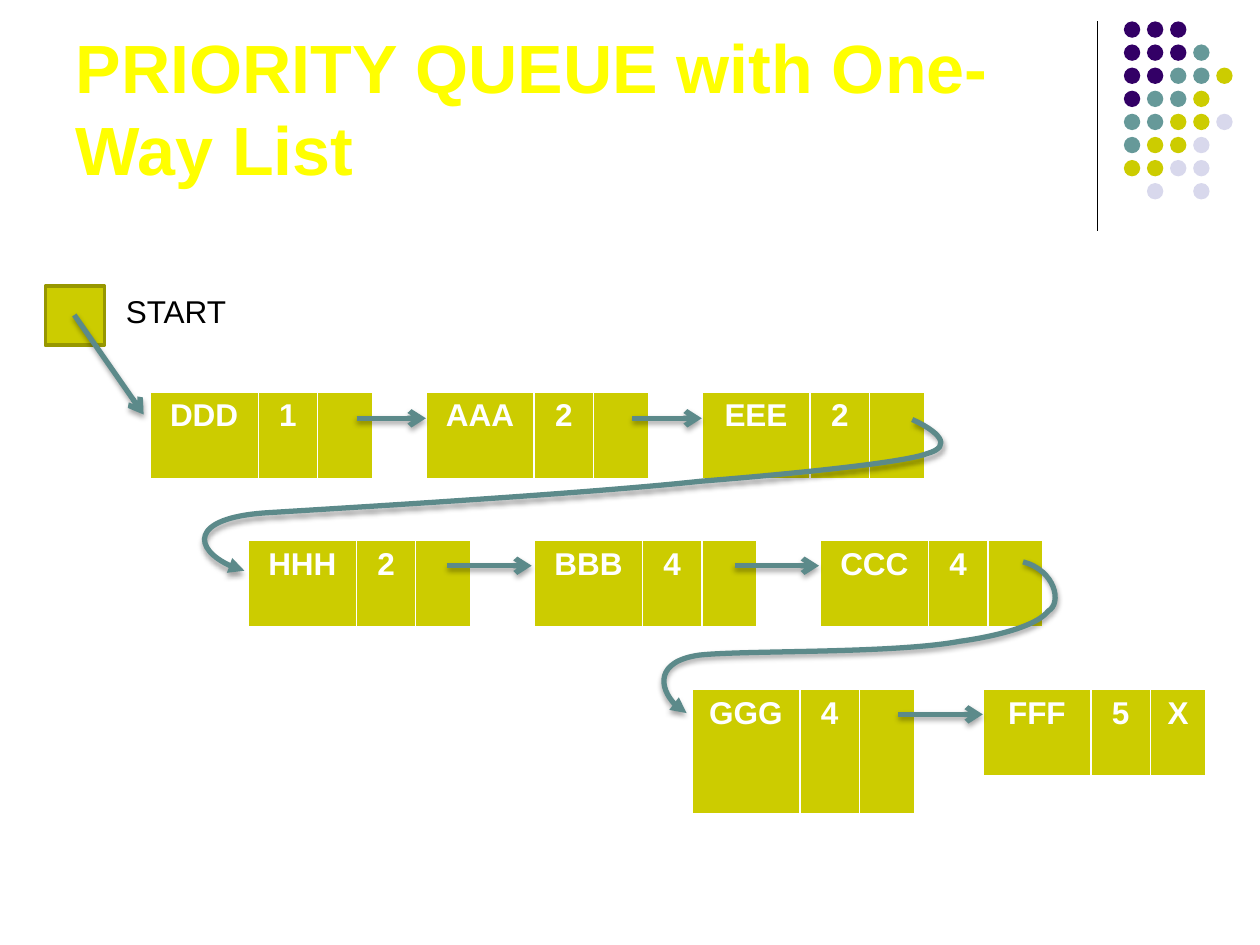
from lxml.etree import SubElement
from pptx import Presentation
from pptx.dml.color import RGBColor
from pptx.enum.shapes import MSO_CONNECTOR, MSO_SHAPE
from pptx.enum.text import MSO_ANCHOR, MSO_AUTO_SIZE, PP_ALIGN
from pptx.oxml import parse_xml
from pptx.oxml.ns import nsdecls, qn
from pptx.util import Inches, Pt

OLIVE = "CCCC00"


def color(hex_value):
    return RGBColor.from_string(hex_value)


def style_link(link, head):
    """Give a link its teal line, arrowhead and soft shadow."""
    link.line.color.rgb = color("5C8A8A")
    link.line.width = Pt(3)
    properties = link._element.spPr
    SubElement(properties.find(qn("a:ln")), qn("a:tailEnd"), type=head)
    properties.append(parse_xml(
        f'<a:effectLst {nsdecls("a")}>'
        '<a:outerShdw blurRad="40000" dist="23000" dir="5400000" rotWithShape="0">'
        '<a:srgbClr val="000000"><a:alpha val="35000"/></a:srgbClr>'
        '</a:outerShdw></a:effectLst>'))


prs = Presentation()
prs.slide_width, prs.slide_height = Inches(10), Inches(7.5)
slide = prs.slides.add_slide(prs.slide_layouts[5])
shapes = slide.shapes

# Corner decoration: a rule and a grid of dots
rule = shapes.add_connector(MSO_CONNECTOR.STRAIGHT, Inches(8.71), Inches(0.17),
                            Inches(8.71), Inches(1.83))
rule.line.color.rgb = color("000000")
rule.line.width = Pt(0.75)
SubElement(rule._element.spPr, qn("a:effectLst"))

dot_colors = {"P": "330066", "T": "669999", "O": OLIVE, "L": "D8D8EC"}
dot_rows = ["PPP", "PPPT", "PPTTO", "PTTO", "TTOOL", "TOOL", "OOLL", " L L"]
dot_pitch = 0.55 / 3
dots = shapes.add_group_shape()
for row, pattern in enumerate(dot_rows):
    for column, key in enumerate(pattern):
        if key == " ":
            continue
        dot = dots.shapes.add_shape(
            MSO_SHAPE.OVAL, Inches(8.92 + column * dot_pitch),
            Inches(0.17 + row * dot_pitch), Inches(0.13), Inches(0.13))
        dot.fill.solid()
        dot.fill.fore_color.rgb = color(dot_colors[key])
        dot.line.fill.background()
        dot.shadow.inherit = False

# Title
title = shapes.title
title.left, title.top = Inches(0.5), Inches(0.13)
title.width, title.height = Inches(8.25), Inches(1.42)
title.text_frame.text = "PRIORITY QUEUE with One-Way List"
title.text_frame.auto_size = MSO_AUTO_SIZE.NONE
title.text_frame.vertical_anchor = MSO_ANCHOR.BOTTOM
heading = title.text_frame.paragraphs[0]
heading.alignment = PP_ALIGN.LEFT
heading.font.name = "Arial"
heading.font.size = Pt(39)
heading.font.bold = True
heading.font.color.rgb = color("FFFF00")

# Start pointer
start = shapes.add_shape(MSO_SHAPE.RECTANGLE, Inches(0.36), Inches(2.27),
                         Inches(0.47), Inches(0.47))
start.fill.solid()
start.fill.fore_color.rgb = color(OLIVE)
start.line.color.rgb = color("979700")
start.line.width = Pt(2)
start.shadow.inherit = False

start_label = shapes.add_textbox(Inches(0.9), Inches(2.27), Inches(1.01), Inches(0.4))
start_label.text_frame.text = "START"
start_label.text_frame.word_wrap = False
start_label.text_frame.auto_size = MSO_AUTO_SIZE.SHAPE_TO_FIT_TEXT
label = start_label.text_frame.paragraphs[0]
label.font.name = "Arial"
label.font.size = Pt(18)
label.font.color.rgb = color("000000")

# List nodes: left, top, height, then data, priority and link
nodes = [
    (1.19, 3.11, 0.7, ("DDD", "1", "")),
    (3.38, 3.11, 0.7, ("AAA", "2", "")),
    (5.57, 3.11, 0.7, ("EEE", "2", "")),
    (1.97, 4.29, 0.7, ("HHH", "2", "")),
    (4.24, 4.29, 0.7, ("BBB", "4", "")),
    (6.51, 4.29, 0.7, ("CCC", "4", "")),
    (5.49, 5.47, 1.0, ("GGG", "4", "")),
    (7.80, 5.47, 0.7, ("FFF", "5", "X")),
]
field_widths = (0.86, 0.47, 0.44)
borders = {"a:lnL": 1, "a:lnR": 1, "a:lnT": 1, "a:lnB": 3}
for left, top, height, fields in nodes:
    node = shapes.add_table(1, 3, Inches(left), Inches(top),
                            Inches(sum(field_widths)), Inches(height)).table
    for column, (field, width) in enumerate(zip(fields, field_widths)):
        node.columns[column].width = Inches(width)
        cell = node.cell(0, column)
        cell_properties = cell._tc.get_or_add_tcPr()
        for side, points in borders.items():
            border = SubElement(cell_properties, qn(side), w=str(Pt(points)))
            border_fill = SubElement(border, qn("a:solidFill"))
            SubElement(border_fill, qn("a:srgbClr"), val="FFFFFF")
        cell.fill.solid()
        cell.fill.fore_color.rgb = color(OLIVE)
        cell.text = field
        paragraph = cell.text_frame.paragraphs[0]
        paragraph.alignment = PP_ALIGN.CENTER
        paragraph.font.name = "Arial"
        paragraph.font.size = Pt(18)
        paragraph.font.bold = True
        paragraph.font.color.rgb = color("FFFFFF")

# Straight links: x1, y1, x2, y2
straight_links = [
    (0.59, 2.50, 1.14, 3.29),
    (2.83, 3.32, 3.38, 3.32),
    (5.02, 3.32, 5.57, 3.32),
    (3.55, 4.49, 4.22, 4.49),
    (5.83, 4.49, 6.50, 4.49),
    (7.13, 5.67, 7.80, 5.67),
]
for ends in straight_links:
    link = shapes.add_connector(MSO_CONNECTOR.STRAIGHT, *map(Inches, ends))
    style_link(link, "arrow")

# Curved links between rows: a start point, then three points per Bézier segment
curved_links = [
    [(7.24, 3.33),
     (7.44, 3.42), (7.57, 3.54), (7.36, 3.60),
     (7.11, 3.70), (5.56, 3.82), (5.56, 3.82),
     (4.63, 3.92), (2.76, 4.03), (2.12, 4.07),
     (1.49, 4.11), (1.54, 4.42), (1.94, 4.53)],
    [(8.12, 4.46),
     (8.38, 4.53), (8.43, 4.79), (8.32, 4.85),
     (8.19, 5.02), (7.62, 5.09), (7.62, 5.09),
     (7.09, 5.19), (5.91, 5.16), (5.55, 5.20),
     (5.20, 5.25), (5.23, 5.55), (5.45, 5.66)],
]
for points in curved_links:
    origin, *controls = [(Inches(x), Inches(y)) for x, y in points]
    builder = shapes.build_freeform(*origin)
    builder.add_line_segments(controls, close=False)
    link = builder.convert_to_shape()
    outline = next(link._element.iter(qn("a:path")))
    segments = outline.findall(qn("a:lnTo"))
    for first in range(0, len(segments), 3):
        curve = SubElement(outline, qn("a:cubicBezTo"))
        for segment in segments[first:first + 3]:
            curve.append(segment[0])
            outline.remove(segment)
    link.fill.background()
    style_link(link, "triangle")

prs.save("out.pptx")
